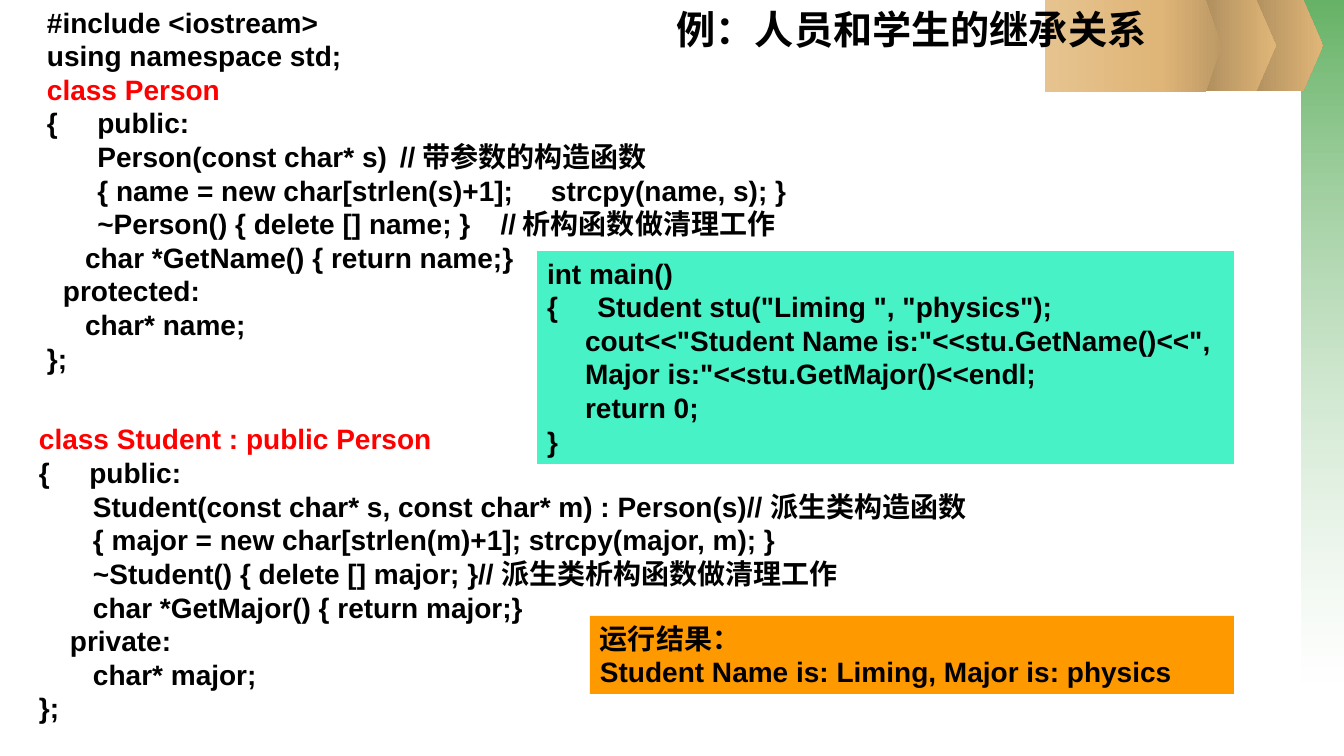
from dataclasses import dataclass

from lxml import etree
from pptx import Presentation
from pptx.dml.color import RGBColor
from pptx.enum.shapes import MSO_SHAPE
from pptx.enum.text import MSO_ANCHOR, MSO_AUTO_SIZE, PP_ALIGN
from pptx.oxml.ns import qn
from pptx.util import Pt

RECTANGLE = MSO_SHAPE.RECTANGLE
PENTAGON = MSO_SHAPE.PENTAGON
TOP = MSO_ANCHOR.TOP
NO_AUTOFIT = MSO_AUTO_SIZE.NONE
LEFT = PP_ALIGN.LEFT
CENTER = PP_ALIGN.CENTER

EMU_PER_PIXEL = 914400 / 100.8
BLACK, RED, WHITE = "000000", "FF0000", "FFFFFF"
TAN, DARK_TAN = "E0B678", "AB8B5C"
LEVEL = 38
MEMBER = 54


@dataclass
class Frame:
    left: int
    top: int
    width: int
    height: int


@dataclass
class Ornament:
    kind: int
    frame: Frame
    colours: tuple[str, str]
    angle: int = 0
    opacities: tuple[int, int] = (100, 100)


@dataclass
class Line:
    text: str
    indent: int = 0
    stops: tuple[int, ...] = ()
    colour: str = BLACK
    font: str = "Arial"


ORNAMENTS = [
    Ornament(RECTANGLE, Frame(1302, 0, 42, 682), ("339933", WHITE), 270, (75, 37)),
    Ornament(PENTAGON, Frame(1244, 0, 79, 91), (DARK_TAN, TAN)),
    Ornament(PENTAGON, Frame(1197, 0, 79, 91), (DARK_TAN, TAN)),
    Ornament(RECTANGLE, Frame(540, 0, 619, 92), (WHITE, TAN)),
    Ornament(PENTAGON, Frame(1159, 0, 62, 92), (TAN, "BD9965")),
]

PERSON = [
    Line("#include <iostream>"),
    Line("using namespace std;"),
    Line("class Person", colour=RED),
    Line("{\tpublic:", stops=(26,)),
    Line("\tPerson(const char* s)\t//带参数的构造函数", stops=(LEVEL, 441)),
    Line("\t{ name = new char[strlen(s)+1];\tstrcpy(name, s); }", stops=(LEVEL, 470)),
    Line("\t~Person() { delete [] name; }\t//析构函数做清理工作", stops=(LEVEL, 457)),
    Line("char *GetName() { return name;}", LEVEL),
    Line("protected:", 16),
    Line("char* name;", LEVEL),
    Line("};"),
]

STUDENT = [
    Line("class Student : public Person", colour=RED),
    Line("{\tpublic:", stops=(LEVEL,)),
    Line("Student(const char* s, const char* m) : Person(s)//派生类构造函数", MEMBER),
    Line("{ major = new char[strlen(m)+1]; strcpy(major, m); }", MEMBER),
    Line("~Student() { delete [] major; }//派生类析构函数做清理工作", MEMBER),
    Line("char *GetMajor() { return major;}", MEMBER),
    Line("private:", 31),
    Line("char* major;", MEMBER),
    Line("};"),
]

MAIN = [
    Line("int main()"),
    Line('{\tStudent stu("Liming ", "physics");', stops=(LEVEL,)),
    Line('cout<<"Student Name is:"<<stu.GetName()<<", Major is:"<<stu.GetMajor()<<endl;', LEVEL),
    Line("return 0;", LEVEL),
    Line("}"),
]

RESULT = [
    Line("运行结果：", font="Times New Roman"),
    Line("Student Name is: Liming, Major is: physics"),
]


def emu(pixels: int) -> int:
    return round(pixels * EMU_PER_PIXEL)


def rgb(colour: str) -> RGBColor:
    return RGBColor.from_string(colour)


def place(shape, frame: Frame) -> None:
    shape.left, shape.top = emu(frame.left), emu(frame.top)
    shape.width, shape.height = emu(frame.width), emu(frame.height)


def add_shape(page, kind: int, frame: Frame):
    shape = page.shapes.add_shape(
        kind, emu(frame.left), emu(frame.top), emu(frame.width), emu(frame.height)
    )
    shape.shadow.inherit = False
    shape.line.fill.background()
    return shape


def draw_ornament(page, ornament: Ornament) -> None:
    shape = add_shape(page, ornament.kind, ornament.frame)
    if ornament.kind == PENTAGON:
        shape.adjustments[0] = 0.25
    shape.fill.gradient()
    shape.fill.gradient_angle = ornament.angle
    for stop, colour in zip(shape.fill.gradient_stops, ornament.colours):
        stop.color.rgb = rgb(colour)
    colour_nodes = shape.element.spPr.iter(qn("a:srgbClr"))
    for node, opacity in zip(colour_nodes, ornament.opacities):
        if opacity < 100:
            etree.SubElement(node, qn("a:alpha"), val=str(opacity * 1000))


def write_line(para, line: Line, *, size: int = 20, align: int = LEFT,
               spacing: Pt | float = Pt(24)) -> None:
    para.alignment = align
    para.line_spacing = spacing
    para.space_before = para.space_after = Pt(0)
    properties = para._p.get_or_add_pPr()
    properties.set("marL", str(emu(line.indent)))
    properties.set("indent", "0")
    etree.SubElement(properties, qn("a:buNone"))
    if line.stops:
        tabs = etree.SubElement(properties, qn("a:tabLst"))
        for stop in line.stops:
            etree.SubElement(tabs, qn("a:tab"), pos=str(emu(stop)), algn="l")
    span = para.add_run()
    span.text = line.text
    span.font.name = line.font
    span.font.size = Pt(size)
    span.font.bold = True
    span.font.color.rgb = rgb(line.colour)


def write_text(shape, lines: list[Line], **style) -> None:
    box = shape.text_frame
    box.word_wrap = True
    box.auto_size = NO_AUTOFIT
    box.vertical_anchor = TOP
    box.margin_left = box.margin_right = emu(10)
    box.margin_top = box.margin_bottom = emu(5)
    for index, line in enumerate(lines):
        para = box.add_paragraph() if index else box.paragraphs[0]
        write_line(para, line, **style)


def draw_panel(page, frame: Frame, colour: str, lines: list[Line]) -> None:
    panel = add_shape(page, RECTANGLE, frame)
    panel.fill.solid()
    panel.fill.fore_color.rgb = rgb(colour)
    write_text(panel, lines)


deck = Presentation()
deck.slide_width, deck.slide_height = emu(1344), emu(756)
page = deck.slides.add_slide(deck.slide_layouts[1])
title, body = page.placeholders
tree = body.element.getparent()

for ornament in ORNAMENTS:
    draw_ornament(page, ornament)

tree.append(body.element)
place(body, Frame(37, 0, 1008, 386))
body.fill.solid()
body.fill.fore_color.rgb = rgb(WHITE)
write_text(body, PERSON)

draw_panel(page, Frame(29, 417, 1008, 314), WHITE, STUDENT)
draw_panel(page, Frame(537, 251, 697, 213), "47F3C6", MAIN)
draw_panel(page, Frame(590, 616, 644, 78), "FF9900", RESULT)

tree.append(title.element)
place(title, Frame(648, 0, 527, 79))
write_text(title, [Line("例：人员和学生的继承关系")], size=28, align=CENTER, spacing=1.0)

deck.save("out.pptx")
